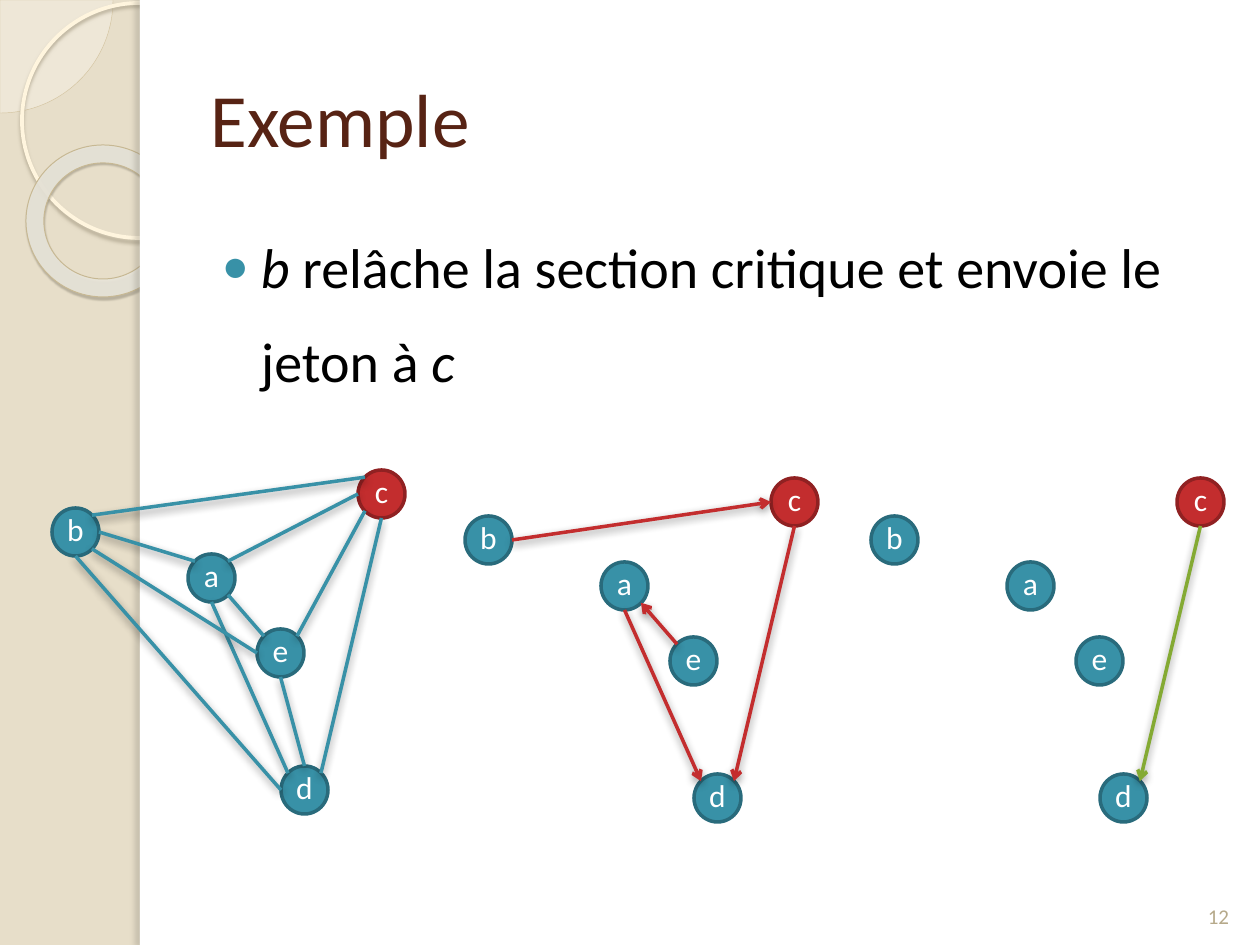
from lxml import etree
from pptx import Presentation
from pptx import util as u
from pptx.dml.color import RGBColor
from pptx.enum import shapes, text
from pptx.oxml import ns

SCALE = 914400 / 126
FONT = "Calibri"
SAND = RGBColor(0xE7, 0xDE, 0xC9)
CREAM = RGBColor(0xFE, 0xFA, 0xF4)
PALE = RGBColor(0xFF, 0xF5, 0xDE)
PEARL = RGBColor(0xE8, 0xE5, 0xDA)
TAN = RGBColor(0xD3, 0xC3, 0x9F)
KHAKI = RGBColor(0xC7, 0xB8, 0x93)
STONE = RGBColor(0xB6, 0xA9, 0x8A)
BROWN = RGBColor(0x57, 0x23, 0x14)
BLACK = RGBColor(0, 0, 0)
WHITE = RGBColor(255, 255, 255)
TEAL = RGBColor(0x38, 0x91, 0xA7)
DARK_TEAL = RGBColor(0x29, 0x6B, 0x7C)
RED = RGBColor(0xC3, 0x2D, 0x2E)
DARK_RED = RGBColor(0x90, 0x21, 0x22)
GREEN = RGBColor(0x84, 0xAA, 0x33)

RING_SHADOW = ("B0A68F", 85, 2, 2, 90)
DONUT_SHADOW = ("5A5444", 35, 1, 1.2, 75)
EDGE_SHADOW = ("000000", 43, 5, 2, 90)
PANEL_SHADOW = ("736F63", 25, 3, 3, 180)

NODE_WIDTH, NODE_HEIGHT = 47, 48
NODES = {"a": (136, 84), "c": (306, 0), "b": (0, 38), "d": (229, 296), "e": (205, 159)}
SITES = {
    "n": (0.5, 0), "nw": (0.15, 0.15), "w": (0, 0.5), "sw": (0.15, 0.85),
    "s": (0.5, 1), "se": (0.85, 0.85), "e": (1, 0.5), "ne": (0.85, 0.15),
}
LINKS = [
    ("b", "e", "a", "nw"), ("a", "ne", "c", "w"), ("c", "sw", "e", "ne"),
    ("e", "s", "d", "n"), ("d", "w", "b", "s"), ("a", "s", "d", "nw"),
    ("a", "se", "e", "nw"), ("b", "ne", "c", "nw"), ("b", "se", "e", "w"),
    ("c", "s", "d", "ne"),
]
REQUESTS = [
    ("b", "e", "c", "w"), ("c", "s", "d", "ne"),
    ("a", "s", "d", "nw"), ("e", "nw", "a", "se"),
]
TOKEN = [("c", "s", "d", "ne")]


def px(*lengths):
    return [round(length * SCALE) for length in lengths]


def add_part(parent, tag, **attributes):
    values = {key: str(value) for key, value in attributes.items()}
    return etree.SubElement(parent, ns.qn(tag), values)


def set_effect(shape, shadow=None):
    effects = add_part(shape.element.spPr, "a:effectLst")
    if shadow:
        color, opacity, blur, distance, angle = shadow
        outer = add_part(effects, "a:outerShdw", blurRad=u.Pt(blur), dist=u.Pt(distance),
                         dir=angle * 60000, algn="tl", rotWithShape=0)
        add_part(add_part(outer, "a:srgbClr", val=color), "a:alpha", val=opacity * 1000)


def add_figure(page, kind, box, fill=None, opacity=100, line=None, width=1, shadow=None):
    shape = page.shapes.add_shape(kind, *px(*box))
    if fill is None:
        shape.fill.background()
    else:
        shape.fill.solid()
        shape.fill.fore_color.rgb = fill
        if opacity < 100:
            color = shape.element.spPr.find(ns.qn("a:solidFill"))[0]
            add_part(color, "a:alpha", val=opacity * 1000)
    if line is None:
        shape.line.fill.background()
    else:
        shape.line.color.rgb = line
        shape.line.width = u.Pt(width)
    set_effect(shape, shadow)
    return shape


def add_text(para, words, size, color, italic=False):
    span = para.add_run()
    span.text = words
    span.font.name = FONT
    span.font.size = u.Pt(size)
    span.font.color.rgb = color
    span.font.italic = italic


def place(shape, box):
    shape.left, shape.top, shape.width, shape.height = px(*box)


def draw_backdrop(page, box):
    left, top, width, height = box
    page.background.fill.solid()
    page.background.fill.fore_color.rgb = SAND
    kinds = shapes.MSO_SHAPE
    quarter = add_figure(page, kinds.PIE, (left - 113, top - 113, 226, 226),
                         CREAM, opacity=33, line=TAN, width=0.25)
    quarter.adjustments[0] = 0
    quarter.adjustments[1] = 54
    add_figure(page, kinds.OVAL, (left + 22, top + 3, 235, 235),
               line=PALE, width=2.15, shadow=RING_SHADOW)
    donut = add_figure(page, kinds.DONUT, (left + 26, top + 145, 154, 152),
                       PEARL, opacity=90, line=KHAKI, width=0.58, shadow=DONUT_SHADOW)
    donut.adjustments[0] = 0.118
    add_figure(page, kinds.RECTANGLE, (left + 140, top, width - 140, height), WHITE)
    add_figure(page, kinds.RECTANGLE, (left + 140, top, 10, height), WHITE, shadow=PANEL_SHADOW)


def write_heading(page, box):
    left, top, width, height = box
    title, body = page.shapes.title, page.placeholders[1]
    for holder in (title, body):
        holder.element.getparent().append(holder.element)
        holder.text_frame.auto_size = text.MSO_AUTO_SIZE.NONE

    place(title, (left, top, width, 158))
    title.text_frame.vertical_anchor = text.MSO_ANCHOR.MIDDLE
    para = title.text_frame.paragraphs[0]
    para.alignment = text.PP_ALIGN.LEFT
    add_text(para, "Exemple", 43, BROWN)

    place(body, (left, top + 161, width, height - 161))
    para = body.text_frame.paragraphs[0]
    para.line_spacing = 1.4
    para.space_before = u.Pt(6)
    add_text(para, "b", 32, BLACK, italic=True)
    add_text(para, " relâche la section critique et envoie le jeton à ", 32, BLACK)
    add_text(para, "c", 32, BLACK, italic=True)
    layout = para._p.get_or_add_pPr()
    layout.set("marL", str(u.Inches(0.4)))
    layout.set("indent", str(u.Inches(-0.31)))
    add_part(add_part(layout, "a:buClr"), "a:srgbClr", val=TEAL)
    add_part(layout, "a:buSzPct", val=80000)
    add_part(layout, "a:buChar", char="●")


def write_number(page, box):
    frame = page.shapes.add_textbox(*px(*box)).text_frame
    frame.word_wrap = True
    frame.vertical_anchor = text.MSO_ANCHOR.BOTTOM
    frame.paragraphs[0].alignment = text.PP_ALIGN.CENTER
    add_text(frame.paragraphs[0], "12", 12, STONE)


def draw_node(page, box, name):
    fill, line = (RED, DARK_RED) if name == "c" else (TEAL, DARK_TEAL)
    frame = add_figure(page, shapes.MSO_SHAPE.OVAL, box, fill, line=line, width=2).text_frame
    frame.margin_left = frame.margin_top = frame.margin_right = 0
    frame.margin_bottom = u.Inches(0.05)
    frame.vertical_anchor = text.MSO_ANCHOR.MIDDLE
    frame.paragraphs[0].alignment = text.PP_ALIGN.CENTER
    add_text(frame.paragraphs[0], name, 18, WHITE)


def draw_graph(page, origin, edges, color, arrow=True):
    left, top = origin

    def anchor(name, site):
        x, y = NODES[name]
        across, down = SITES[site]
        return px(left + x + across * NODE_WIDTH, top + y + down * NODE_HEIGHT)

    for name, (x, y) in NODES.items():
        draw_node(page, (left + x, top + y, NODE_WIDTH, NODE_HEIGHT), name)
    for start, start_site, end, end_site in edges:
        edge = page.shapes.add_connector(shapes.MSO_CONNECTOR.STRAIGHT,
                                         *anchor(start, start_site), *anchor(end, end_site))
        edge.line.color.rgb = color
        edge.line.width = u.Pt(2)
        if arrow:
            add_part(edge.line._get_or_add_ln(), "a:tailEnd", type="arrow")
        set_effect(edge, EDGE_SHADOW)


def main():
    deck = Presentation()
    deck.slide_width, deck.slide_height = px(1260, 945)
    page = deck.slides.add_slide(deck.slide_layouts[1])
    draw_backdrop(page, (0, 0, 1260, 945))
    write_heading(page, (198, 38, 1033, 822))
    write_number(page, (1187, 869, 63, 66))
    draw_graph(page, (52, 470), LINKS, TEAL, arrow=False)
    draw_graph(page, (465, 478), REQUESTS, RED)
    draw_graph(page, (871, 478), TOKEN, GREEN)
    deck.save("out.pptx")


if __name__ == "__main__":
    main()
